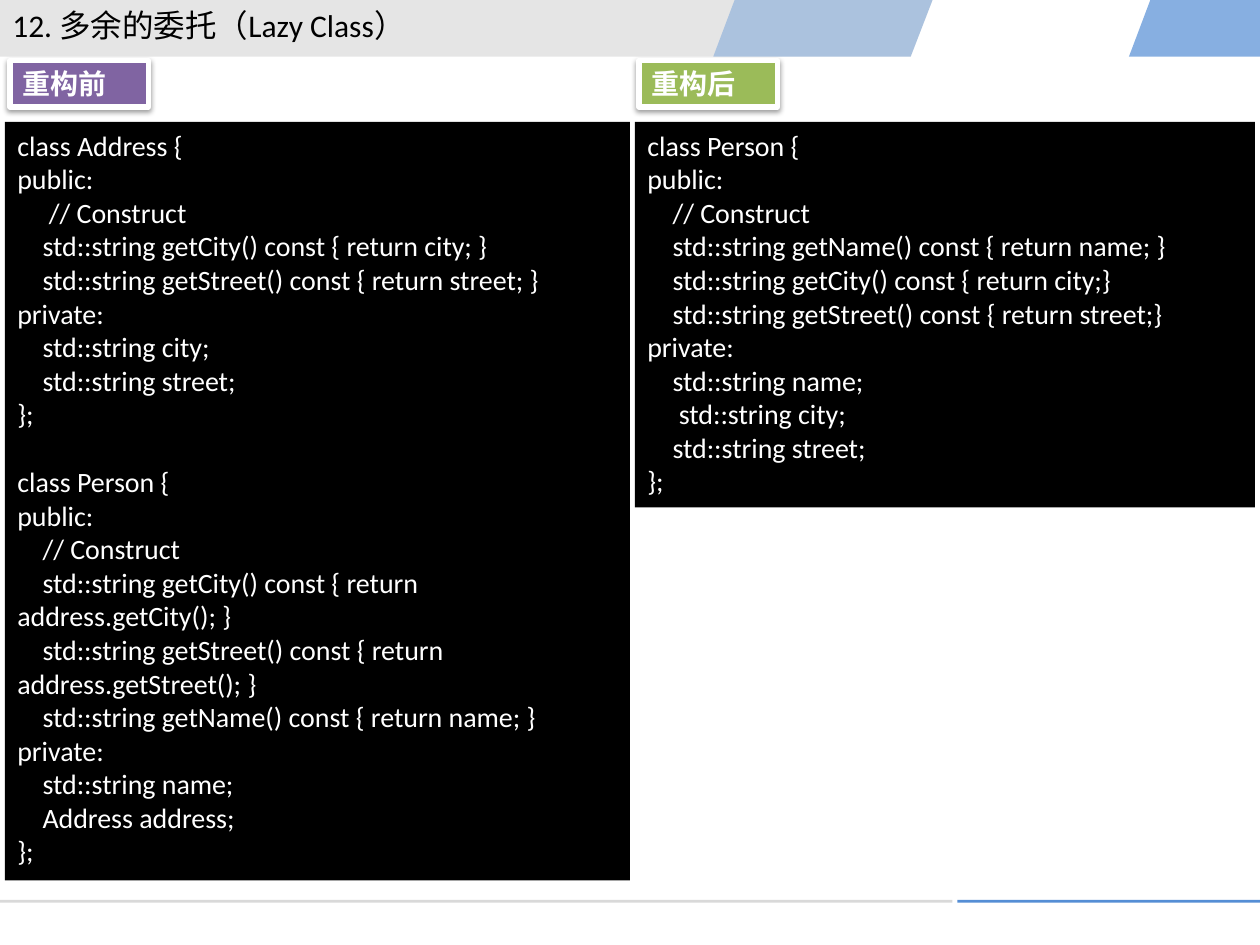
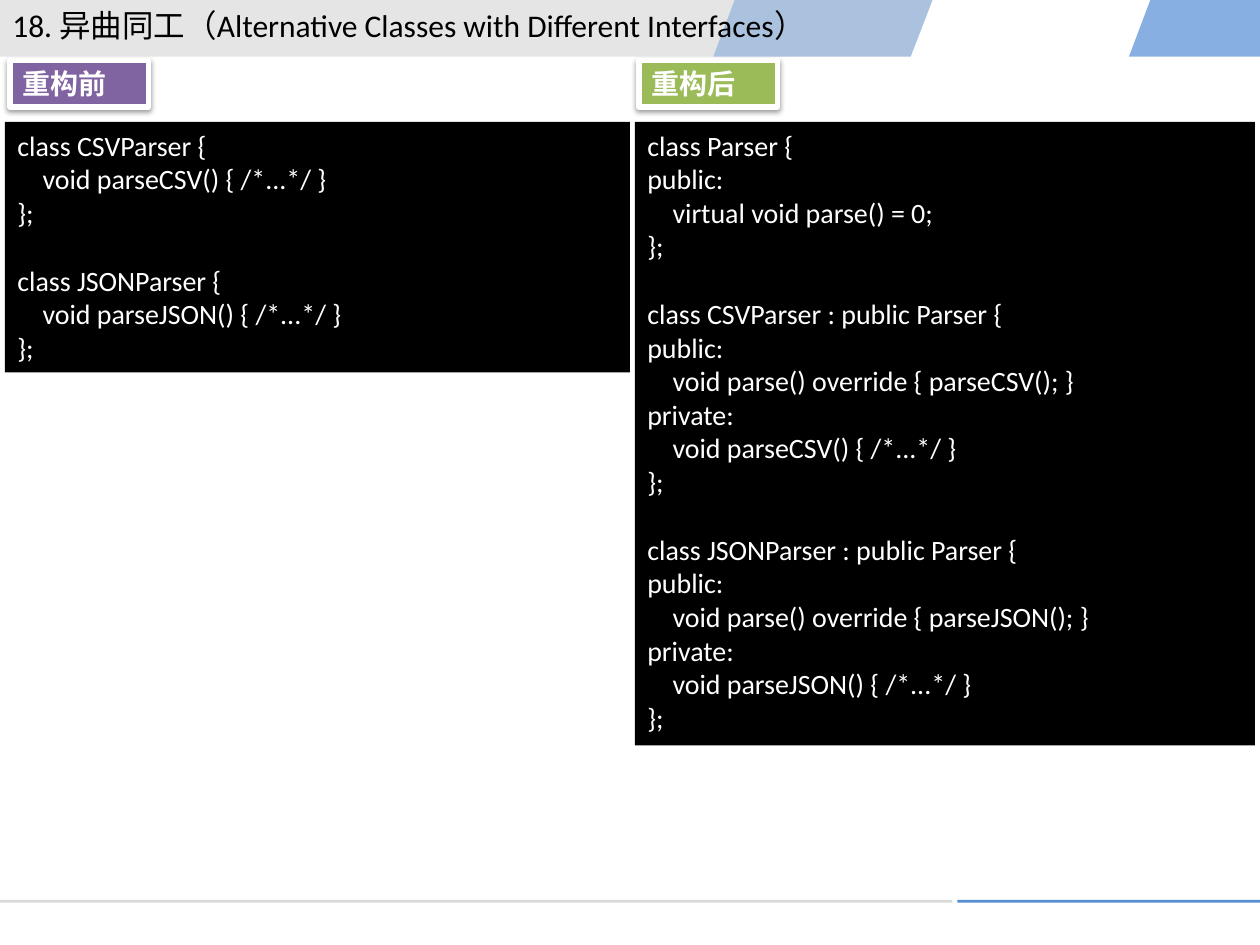
from typing import NamedTuple

from lxml import etree
from pptx import Presentation
from pptx.dml.color import RGBColor
from pptx.enum.shapes import MSO_SHAPE
from pptx.enum.text import MSO_ANCHOR, MSO_AUTO_SIZE, PP_ALIGN
from pptx.oxml.ns import qn
from pptx.util import Cm, Pt

RECT = MSO_SHAPE.RECTANGLE
TOP = MSO_ANCHOR.TOP
GROW = MSO_AUTO_SIZE.SHAPE_TO_FIT_TEXT
LEFT = PP_ALIGN.LEFT

FONT = "Calibri"
BLACK, WHITE = "000000", "FFFFFF"
BLUE, GREY, PALE_GREY = "558ED5", "BFBFBF", "D9D9D9"
PURPLE, GREEN = "8064A2", "9BBB59"
BAND_H = 1.14
CODE_LINE = 19.5  # height of one code line, in points


class Band(NamedTuple):
    top_left: float
    top_right: float
    bottom_left: float
    bottom_right: float
    color: str
    opacity: int


class Rule(NamedTuple):
    left: float
    width: float
    color: str


class Column(NamedTuple):
    label: str
    color: str
    label_left: float
    code_left: float
    code_width: float


class Code(NamedTuple):
    text: str
    height: float


class Page(NamedTuple):
    title: str
    title_width: float
    codes: tuple[Code, Code]


BANDS = [
    Band(23.19, 25.4, 22.76, 25.4, BLUE, 70),
    Band(0, 18.8, 0, 18.36, GREY, 40),
    Band(14.81, 18.8, 14.38, 18.36, BLUE, 40),
]
RULES = [Rule(0, 19.2, PALE_GREY), Rule(19.3, 6.1, BLUE)]
COLUMNS = [
    Column("重构前", PURPLE, 0.2, 0.1, 12.6),
    Column("重构后", GREEN, 12.88, 12.8, 12.5),
]

ADDRESS_BEFORE = """class Address {
public:
     // Construct
    std::string getCity() const { return city; }
    std::string getStreet() const { return street; }
private:
    std::string city;
    std::string street;
};

class Person {
public:
    // Construct
    std::string getCity() const { return address.getCity(); }
    std::string getStreet() const { return address.getStreet(); }
    std::string getName() const { return name; }
private:
    std::string name;
    Address address;
};"""

ADDRESS_AFTER = """class Person {
public:
    // Construct
    std::string getName() const { return name; }
    std::string getCity() const { return city;}
    std::string getStreet() const { return street;}
private:
    std::string name;
     std::string city;
    std::string street;
};"""

PARSER_BEFORE = """class CSVParser {
    void parseCSV() { /*...*/ }
};

class JSONParser {
    void parseJSON() { /*...*/ }
};"""

PARSER_AFTER = """class Parser {
public:
    virtual void parse() = 0;
};

class CSVParser : public Parser {
public:
    void parse() override { parseCSV(); }
private:
    void parseCSV() { /*...*/ }
};

class JSONParser : public Parser {
public:
    void parse() override { parseJSON(); }
private:
    void parseJSON() { /*...*/ }
};"""

PAGES = [
    Page("12. 多余的委托（Lazy Class）", 9.7,
         (Code(ADDRESS_BEFORE, 15.29), Code(ADDRESS_AFTER, 7.77))),
    Page("18. 异曲同工（Alternative Classes with Different Interfaces）", 18.49,
         (Code(PARSER_BEFORE, 5.05), Code(PARSER_AFTER, 12.57))),
]


def rgb(color: str) -> RGBColor:
    return RGBColor.from_string(color)


def paint(sp, color: str) -> None:
    """Plain fill without outline or shadow."""
    sp.fill.solid()
    sp.fill.fore_color.rgb = rgb(color)
    sp.line.fill.background()
    sp.shadow.inherit = False


def add_rect(s, left: float, top: float, width: float, height: float, color: str):
    sp = s.shapes.add_shape(RECT, Cm(left), Cm(top), Cm(width), Cm(height))
    paint(sp, color)
    return sp


def add_alpha(color_element, percent: int) -> None:
    etree.SubElement(color_element, qn("a:alpha"), val=str(percent * 1000))


def add_shadow(sp) -> None:
    effects = sp._element.spPr.find(qn("a:effectLst"))
    shadow = etree.SubElement(
        effects, qn("a:outerShdw"), blurRad=str(Pt(3.1)), dist=str(Pt(1.6)),
        dir="5400000", rotWithShape="0")
    add_alpha(etree.SubElement(shadow, qn("a:srgbClr"), val=BLACK), 38)


def write(sp, text: str, size: int, color: str,
          bold: bool = False, wrap: bool = True) -> None:
    """One paragraph per line; a blank line becomes space before the next block."""
    tf = sp.text_frame
    tf.word_wrap = wrap
    tf.auto_size = GROW
    tf.vertical_anchor = TOP
    p = tf.paragraphs[0]
    for b, block in enumerate(text.split("\n\n")):
        for i, line in enumerate(block.split("\n")):
            if b or i:
                p = tf.add_paragraph()
            p.alignment = LEFT
            if b and not i:
                p.space_before = Pt(CODE_LINE)
            r = p.add_run()
            r.text = line
            r.font.name = FONT
            r.font.size = Pt(size)
            r.font.bold = bold
            r.font.color.rgb = rgb(color)


def draw_band(s, band: Band) -> None:
    builder = s.shapes.build_freeform(Cm(band.top_left), Cm(0))
    builder.add_line_segments([
        (Cm(band.top_right), Cm(0)),
        (Cm(band.bottom_right), Cm(BAND_H)),
        (Cm(band.bottom_left), Cm(BAND_H)),
    ], close=True)
    sp = builder.convert_to_shape()
    paint(sp, band.color)
    add_alpha(sp._element.spPr.find(qn("a:solidFill"))[0], band.opacity)


def draw_frame(s) -> None:
    for band in BANDS:
        draw_band(s, band)
    for rule in RULES:
        add_rect(s, rule.left, 18.14, rule.width, 0.06, rule.color)


def draw_code(s, column: Column, code: Code) -> None:
    sp = add_rect(s, column.code_left, 2.46, column.code_width, code.height, BLACK)
    write(sp, code.text, 16, WHITE)


def draw_label(s, column: Column) -> None:
    sp = add_rect(s, column.label_left, 1.22, 2.79, 0.94, column.color)
    sp.line.color.rgb = rgb(WHITE)
    sp.line.width = Pt(3)
    add_shadow(sp)
    write(sp, column.label, 16, WHITE, bold=True)


def draw_page(prs, page: Page) -> None:
    s = prs.slides.add_slide(prs.slide_layouts[6])
    draw_frame(s)
    # Title
    title = s.shapes.add_textbox(Cm(0), Cm(0), Cm(page.title_width), Cm(1.02))
    write(title, page.title, 18, BLACK, wrap=False)
    # Code before and after refactoring
    for column, code in zip(COLUMNS, page.codes):
        draw_code(s, column, code)
    for column in COLUMNS:
        draw_label(s, column)


def main() -> None:
    prs = Presentation()
    prs.slide_width, prs.slide_height = Cm(25.4), Cm(19.05)
    for page in PAGES:
        draw_page(prs, page)
    prs.save("out.pptx")


if __name__ == "__main__":
    main()
